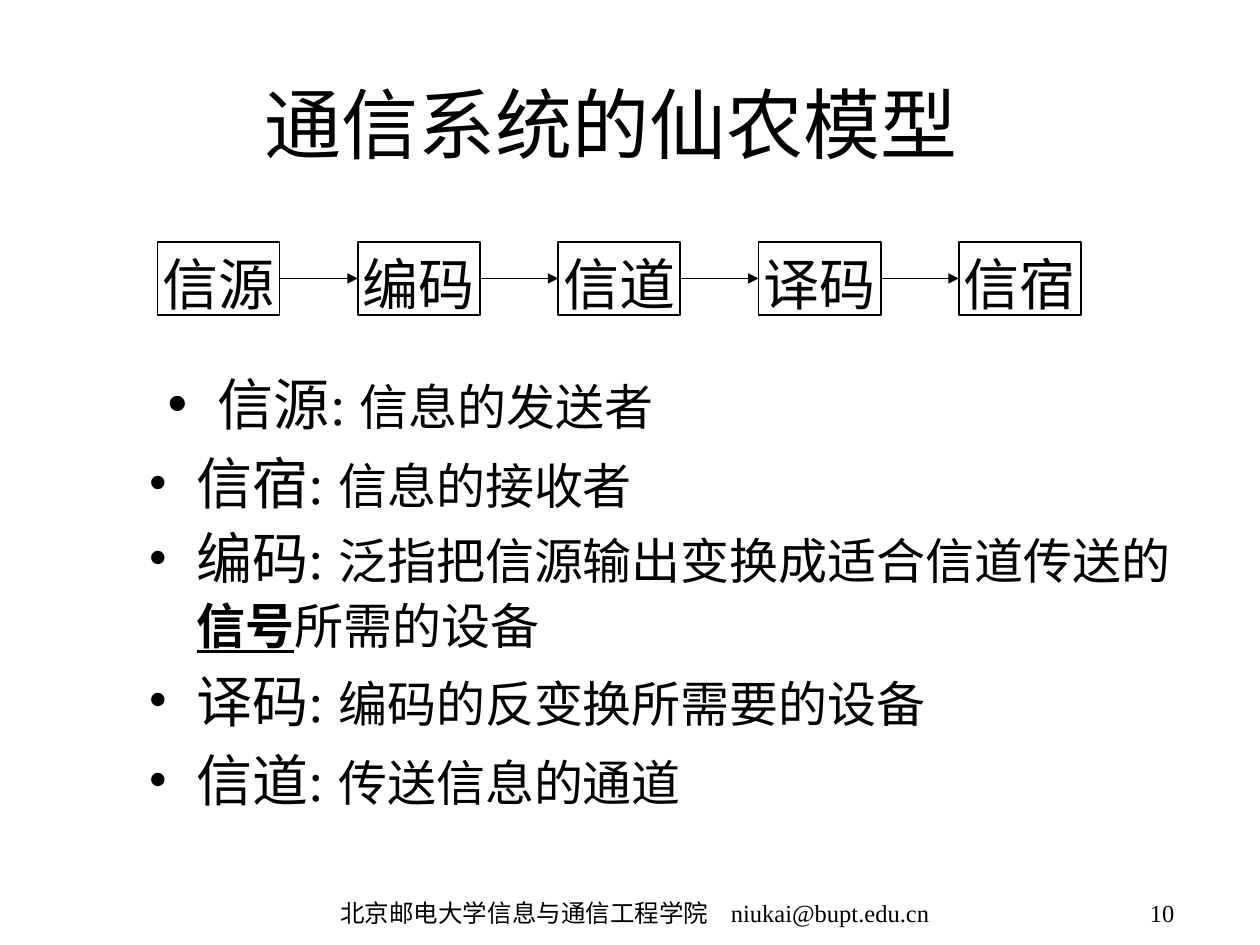
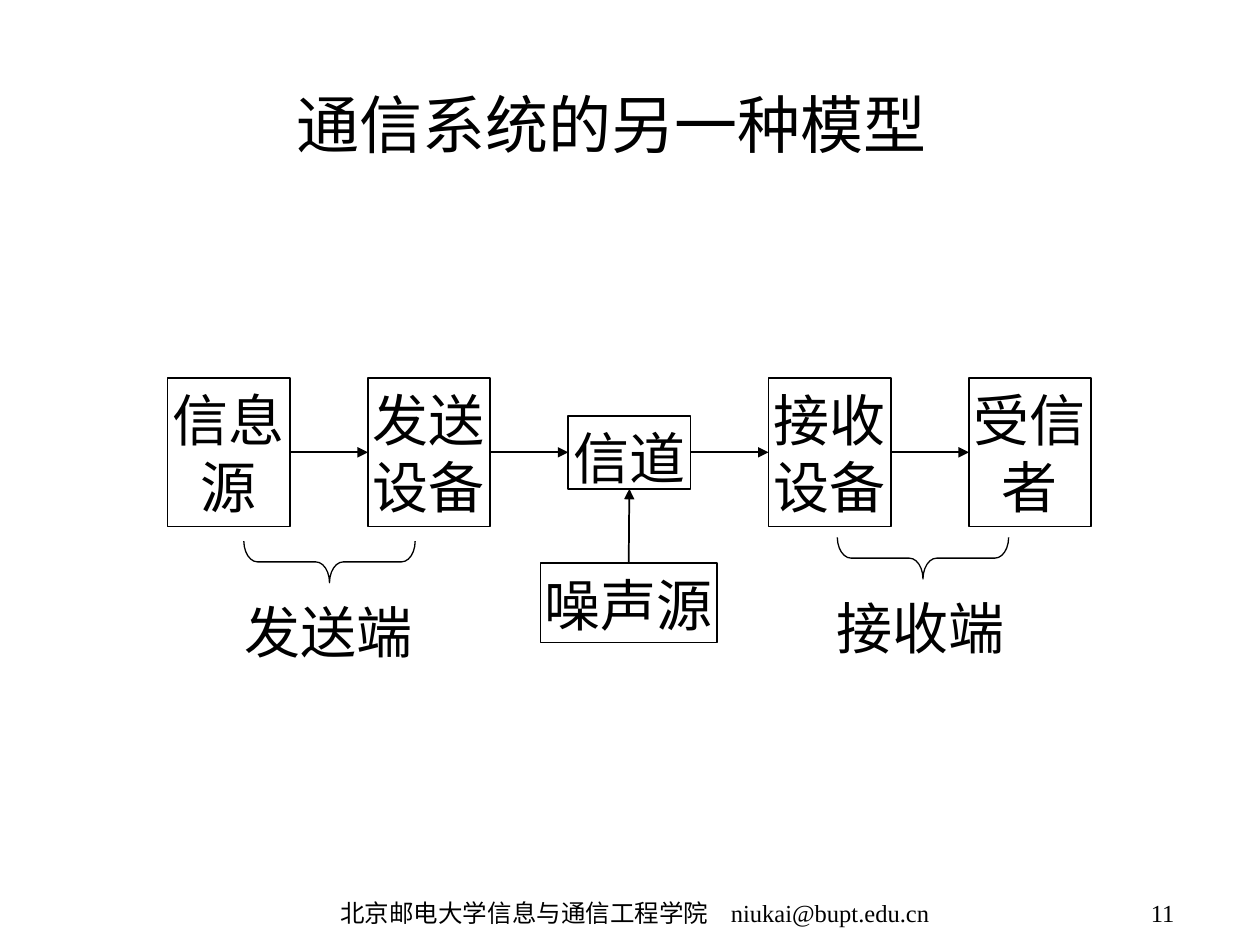
"""Build two slides on models of a communication system."""
from lxml.etree import SubElement as add_element
from pptx import Presentation
from pptx.dml.color import RGBColor
from pptx.enum.shapes import MSO_CONNECTOR as Connector, MSO_SHAPE as Shape
from pptx.enum.text import MSO_ANCHOR as Anchor, MSO_AUTO_SIZE as AutoSize, PP_ALIGN as Align
from pptx.oxml.ns import qn
from pptx.util import Inches, Pt

COLORS = {"ink": "000000", "paper": "FFFFFF"}
INK = RGBColor.from_string(COLORS["ink"])
LATIN, CHINESE = "Times New Roman", "Noto Sans CJK SC"
BOX_WIDTH, BOX_PITCH = 0.97, 1.59
LINE_HEIGHT = Pt(38.4)


def add_run(paragraph, text, size, font=LATIN, strong=False):
    run = paragraph.add_run()
    run.text = text
    run.font.size = Pt(size)
    run.font.name = font
    run.font.color.rgb = INK
    if strong:
        run.font.bold = run.font.underline = True
    add_element(run.font._element, qn("a:ea"), typeface=CHINESE)


def add_label(slide, lines, left, top, width, height, outlined=True):
    if outlined:
        shape = slide.shapes.add_shape(
            Shape.RECTANGLE, Inches(left), Inches(top), Inches(width), Inches(height))
        shape.shadow.inherit = False
        shape.fill.background()
        shape.line.color.rgb = INK
        shape.line.width = Pt(1)
    else:
        shape = slide.shapes.add_textbox(
            Inches(left), Inches(top), Inches(width), Inches(height))
    frame = shape.text_frame
    frame.word_wrap = True
    frame.vertical_anchor = Anchor.TOP
    frame.margin_left = frame.margin_right = Inches(0.02)
    frame.margin_top, frame.margin_bottom = Inches(0.06), Inches(0)
    for index, line in enumerate(lines):
        paragraph = frame.add_paragraph() if index else frame.paragraphs[0]
        paragraph.alignment = Align.CENTER
        paragraph.line_spacing = LINE_HEIGHT
        add_run(paragraph, line, 32)
    return shape


presentation = Presentation()
presentation.slide_width, presentation.slide_height = Inches(10), Inches(7.5)
shannon_slide = presentation.slides.add_slide(presentation.slide_layouts[1])
system_slide = presentation.slides.add_slide(presentation.slide_layouts[5])

headings = [
    (shannon_slide, "通信系统的仙农模型", 44, CHINESE, "10"),
    (system_slide, "通信系统的另一种模型", 36, LATIN, "11"),
]
for slide, heading, size, font, number in headings:
    slide.background.fill.solid()
    slide.background.fill.fore_color.rgb = RGBColor.from_string(COLORS["paper"])
    title = slide.shapes.title
    title.left, title.top = Inches(0.6), Inches(0.35)
    title.width, title.height = Inches(8.5), Inches(1.25)
    title.text_frame.auto_size = AutoSize.NONE
    title.text_frame.vertical_anchor = Anchor.MIDDLE
    title.text_frame.paragraphs[0].alignment = Align.CENTER
    add_run(title.text_frame.paragraphs[0], heading, size, font)

    footer = slide.shapes.add_textbox(Inches(2.42), Inches(7.08), Inches(5.25), Inches(0.33))
    footer.text_frame.word_wrap = True
    footer.text_frame.margin_left = Inches(0.28)
    paragraph = footer.text_frame.paragraphs[0]
    tabs = add_element(paragraph._p.get_or_add_pPr(), qn("a:tabLst"))
    add_element(tabs, qn("a:tab"), pos=str(Inches(3.1)), algn="l")
    add_run(paragraph, "北京邮电大学信息与通信工程学院\tniukai@bupt.edu.cn", 14)

    page = slide.shapes.add_textbox(Inches(7.75), Inches(7.08), Inches(1.67), Inches(0.33))
    page.text_frame.word_wrap = True
    page.text_frame.paragraphs[0].alignment = Align.RIGHT
    add_run(page.text_frame.paragraphs[0], number, 14)

shannon_boxes = [
    add_label(shannon_slide, [name], 1.25 + index * BOX_PITCH, 1.92, BOX_WIDTH, 0.58)
    for index, name in enumerate(["信源", "编码", "信道", "译码", "信宿"])
]

stages = [["信息源"], ["发送", "设备"], ["信道"], ["接收", "设备"], ["受信", "者"]]
system_boxes = []
for index, lines in enumerate(stages):
    height = 0.58 if lines == ["信道"] else 1.18
    system_boxes.append(add_label(
        system_slide, lines, 1.33 + index * BOX_PITCH, 3.59 - height / 2, BOX_WIDTH, height))
noise_box = add_label(system_slide, ["噪声源"], 4.29, 4.47, 1.4, 0.63)

arrows = [(system_slide, noise_box, 0, system_boxes[2], 2)]
for slide, boxes in [(shannon_slide, shannon_boxes), (system_slide, system_boxes)]:
    arrows += [(slide, source, 3, target, 1) for source, target in zip(boxes, boxes[1:])]
for slide, source, source_side, target, target_side in arrows:
    arrow = slide.shapes.add_connector(Connector.STRAIGHT, 0, 0, 0, 0)
    arrow.begin_connect(source, source_side)
    arrow.end_connect(target, target_side)
    arrow.line.color.rgb = INK
    arrow.line.width = Pt(1)
    add_element(arrow.line._get_or_add_ln(), qn("a:tailEnd"), type="triangle")
    add_element(arrow._element.spPr, qn("a:effectLst"))

ends = [("发送端", 2.45, 3.78, 1.81), ("接收端", 7.16, 3.75, 6.51)]
for name, brace_left, brace_top, label_left in ends:
    brace = system_slide.shapes.add_shape(
        Shape.RIGHT_BRACE, Inches(brace_left), Inches(brace_top), Inches(0.33), Inches(1.36))
    brace.rotation = 90
    brace.adjustments[0] = 0.33
    brace.shadow.inherit = False
    brace.fill.background()
    brace.line.color.rgb = INK
    brace.line.width = Pt(0.75)
    add_label(system_slide, [name], label_left, brace_top + 0.9, 1.6, 0.56, outlined=False)

definitions = [
    ("信源: ", [("信息的发送者", False)]),
    ("信宿: ", [("信息的接收者", False)]),
    ("编码: ", [("泛指把信源输出变换成适合信道传送的", False), ("信号", True), ("所需的设备", False)]),
    ("译码: ", [("编码的反变换所需要的设备", False)]),
    ("信道: ", [("传送信息的通道", False)]),
]
body = shannon_slide.placeholders[1]
body.left, body.top = Inches(1.08), Inches(2.83)
body.width, body.height = Inches(8.58), Inches(4.08)
frame = body.text_frame
frame.auto_size = AutoSize.NONE
frame.vertical_anchor = Anchor.TOP
frame.margin_top = Inches(0.1)
for index, (term, meaning) in enumerate(definitions):
    paragraph = frame.add_paragraph() if index else frame.paragraphs[0]
    properties = paragraph._p.get_or_add_pPr()
    margin, hanging = (0.38, 0.38) if index else (0.55, 0.4)
    properties.set("marL", str(Inches(margin)))
    properties.set("indent", str(-Inches(hanging)))
    bullet_color = add_element(properties, qn("a:buClr"))
    add_element(bullet_color, qn("a:srgbClr"), val=COLORS["ink"])
    add_element(properties, qn("a:buFont"), typeface=LATIN if index else "Arial")
    add_element(properties, qn("a:buChar"), char="•")
    paragraph.space_before = Pt(7 if index else 0)
    paragraph.line_spacing = Pt(36) if len(meaning) > 1 else LINE_HEIGHT
    add_run(paragraph, term, 32)
    for text, strong in meaning:
        add_run(paragraph, text, 28, strong=strong)

presentation.save("out.pptx")
